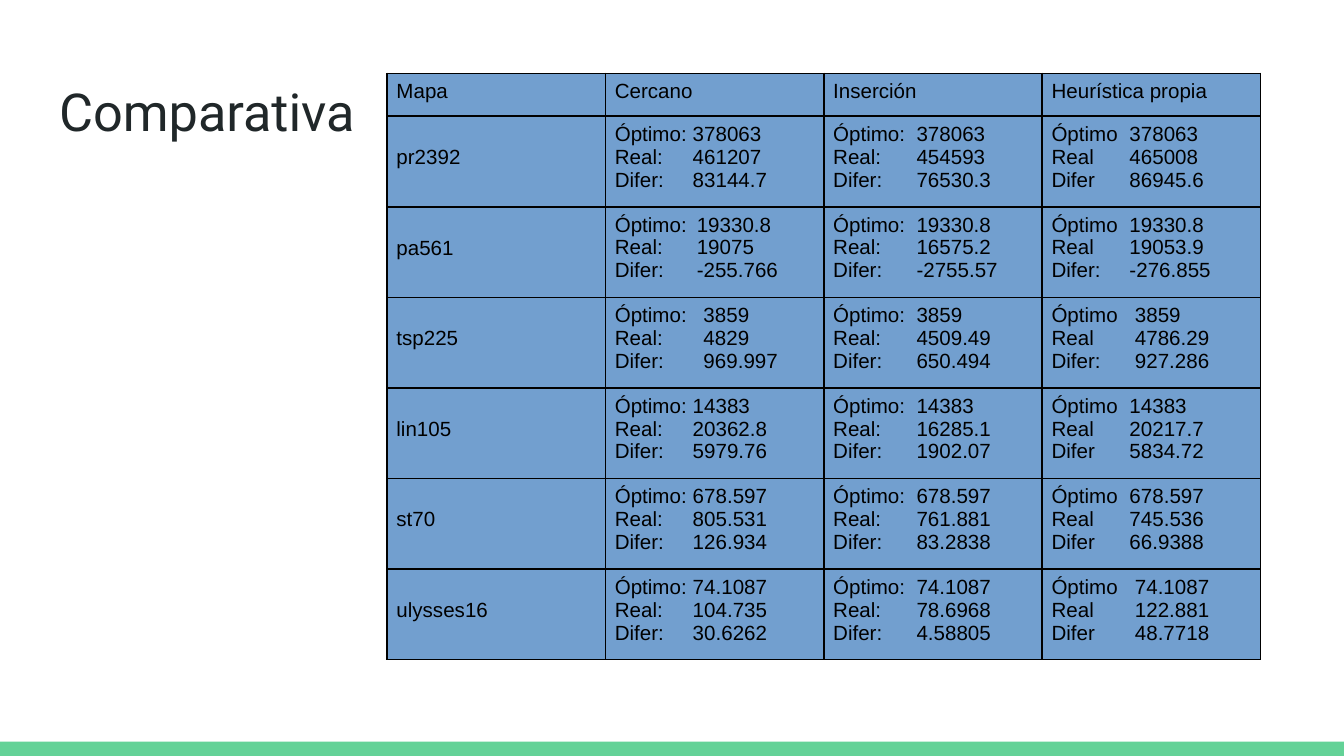
from dataclasses import dataclass

from lxml.etree import SubElement as Sub
from pptx import Presentation
from pptx.dml.color import RGBColor as Rgb
from pptx.enum.shapes import MSO_SHAPE as Shape
from pptx.enum.text import MSO_ANCHOR as Anchor, MSO_AUTO_SIZE as Auto, PP_ALIGN as Align
from pptx.oxml.ns import qn
from pptx.util import Inches, Pt


@dataclass(frozen=True)
class Theme:
    """Colours, fonts and sizes of the slide."""
    green: str = "63D297"
    blue: str = "729FCF"
    ink: str = "202729"
    black: str = "000000"
    head: str = "Roboto"
    body: str = "Arial"
    big: float = 28
    small: float = 11
    rule: float = 0.96


THEME = Theme()
WIDE = Inches(10)
HIGH = WIDE * 9 // 16
HEADS = ["Mapa", "Cercano", "Inserción", "Heurística propia"]
FULL = ["Óptimo:", "Real:", "Difer:"]
BARE = ["Óptimo", "Real", "Difer"]
MIXED = ["Óptimo", "Real", "Difer:"]
TABS = [0.58, 0.62, 0.58]
ROWS = [
    ("pr2392", BARE, (0, 0, 0), "378063 461207 83144.7", "378063 454593 76530.3", "378063 465008 86945.6"),
    ("pa561", MIXED, (0.03, 0, 0), "19330.8 19075 -255.766", "19330.8 16575.2 -2755.57", "19330.8 19053.9 -276.855"),
    ("tsp225", MIXED, (0.08, 0, 0.04), "3859 4829 969.997", "3859 4509.49 650.494", "3859 4786.29 927.286"),
    ("lin105", BARE, (0, 0, 0), "14383 20362.8 5979.76", "14383 16285.1 1902.07", "14383 20217.7 5834.72"),
    ("st70", BARE, (0, 0, 0), "678.597 805.531 126.934", "678.597 761.881 83.2838", "678.597 745.536 66.9388"),
    ("ulysses16", BARE, (0, 0, 0.04), "74.1087 104.735 30.6262", "74.1087 78.6968 4.58805", "74.1087 122.881 48.7718"),
]


def put(item, **vals):
    """Set each named attribute on the item."""
    for name, val in vals.items():
        setattr(item, name, val)


def area(left, top, wide, high):
    """Turn shares of the slide into lengths."""
    return [int(left * WIDE), int(top * HIGH), int(wide * WIDE), int(high * HIGH)]


def style(font, face, size, tint):
    """Give a font its face, size and colour."""
    put(font, name=face, size=Pt(size))
    font.color.rgb = Rgb.from_string(tint)


def add_bar(slide, box):
    """Draw the green foot bar."""
    bar = slide.shapes.add_shape(Shape.RECTANGLE, *box)
    bar.shadow.inherit = False
    bar.fill.solid()
    bar.fill.fore_color.rgb = Rgb.from_string(THEME.green)
    bar.line.fill.background()


def add_title(slide, box, text):
    """Place and format the title."""
    title = slide.shapes.title
    put(title, **dict(zip(("left", "top", "width", "height"), box)))
    frame = title.text_frame
    pad = Inches(0.1)
    put(frame, text=text, auto_size=Auto.NONE, vertical_anchor=Anchor.TOP, word_wrap=True,
        margin_left=pad, margin_right=pad, margin_top=pad, margin_bottom=pad)
    para = frame.paragraphs[0]
    para.alignment = Align.LEFT
    style(para.runs[0].font, THEME.head, THEME.big, THEME.ink)


def edge(cell):
    """Rule all four sides of a cell."""
    props = cell._tc.get_or_add_tcPr()
    for side in "LRTB":
        line = Sub(props, qn("a:ln" + side), w=str(Pt(THEME.rule)))
        Sub(Sub(line, qn("a:solidFill")), qn("a:srgbClr"), val=THEME.black)


def fill_cell(cell, lines, tab=None):
    """Write the lines into a cell, with values set at the tab stop."""
    edge(cell)
    cell.fill.solid()
    cell.fill.fore_color.rgb = Rgb.from_string(THEME.blue)
    put(cell, text="\n".join(lines), margin_left=Inches(0.07), margin_right=Inches(0.07),
        margin_top=Inches(0.05), margin_bottom=Inches(0.05))
    for para in cell.text_frame.paragraphs:
        style(para.runs[0].font, THEME.body, THEME.small, THEME.black)
        if tab:
            stops = Sub(para._p.get_or_add_pPr(), qn("a:tabLst"))
            Sub(stops, qn("a:tab"), pos=str(Inches(tab)), algn="l")


def add_grid(slide, box):
    """Build the table of results."""
    grid = slide.shapes.add_table(len(ROWS) + 1, len(HEADS), *box).table
    wide, high = box[2:]
    top = int(high * 0.073)
    for col in grid.columns:
        col.width = wide // len(HEADS)
    for num, row in enumerate(grid.rows):
        row.height = (high - top) // len(ROWS) if num else top
    for col, head in enumerate(HEADS):
        fill_cell(grid.cell(0, col), [head])
    for num, (name, last, shifts, *sets) in enumerate(ROWS, 1):
        cell = grid.cell(num, 0)
        fill_cell(cell, [name])
        put(cell, vertical_anchor=Anchor.MIDDLE, margin_bottom=Inches(0.11))
        cols = zip((FULL, FULL, last), TABS, shifts, sets)
        for col, (tags, tab, shift, vals) in enumerate(cols, 1):
            lines = [f"{tag}\t{val}" for tag, val in zip(tags, vals.split())]
            fill_cell(grid.cell(num, col), lines, tab + shift)


def main():
    """Build and save the slide."""
    deck = Presentation()
    put(deck, slide_width=WIDE, slide_height=HIGH)
    slide = deck.slides.add_slide(deck.slide_layouts[5])
    add_bar(slide, area(0, 0.981, 1, 0.019))
    add_title(slide, area(0.034, 0.087, 0.932, 0.112), "Comparativa")
    add_grid(slide, area(0.288, 0.097, 0.65, 0.776))
    deck.save("out.pptx")


if __name__ == "__main__":
    main()
